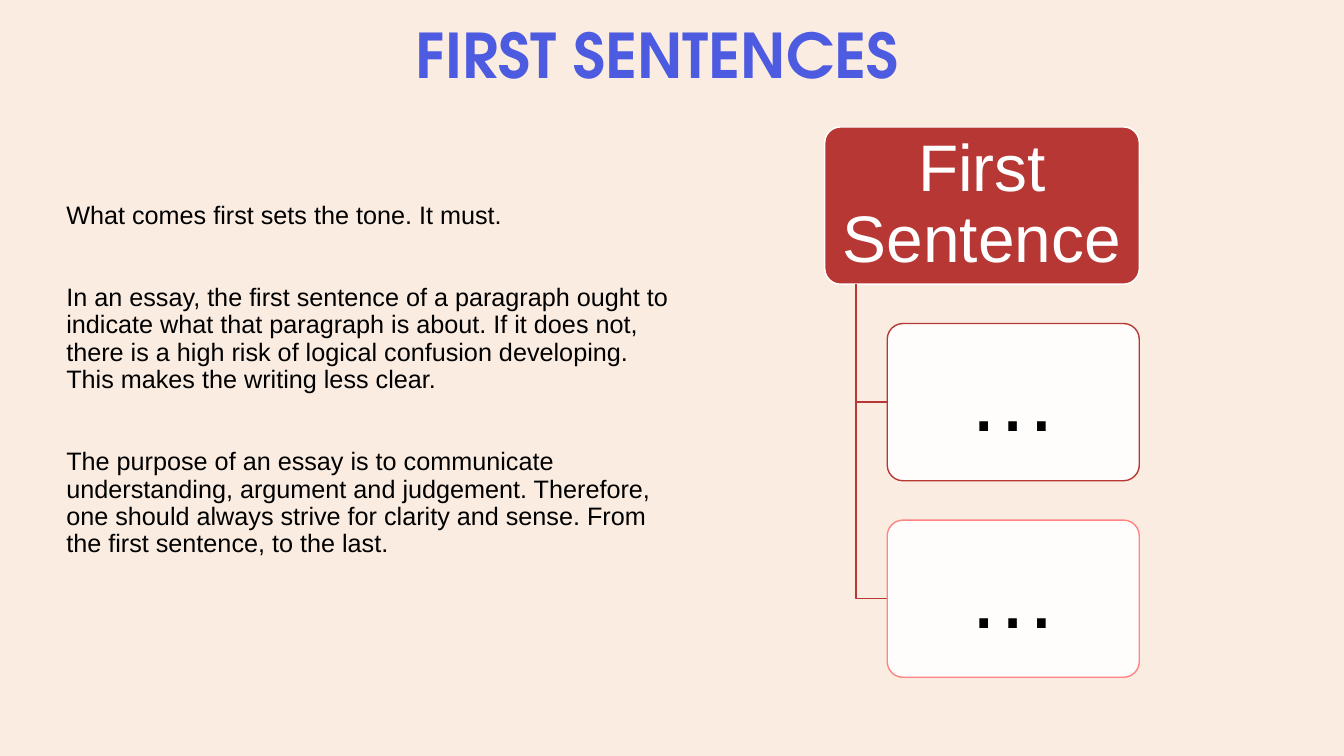
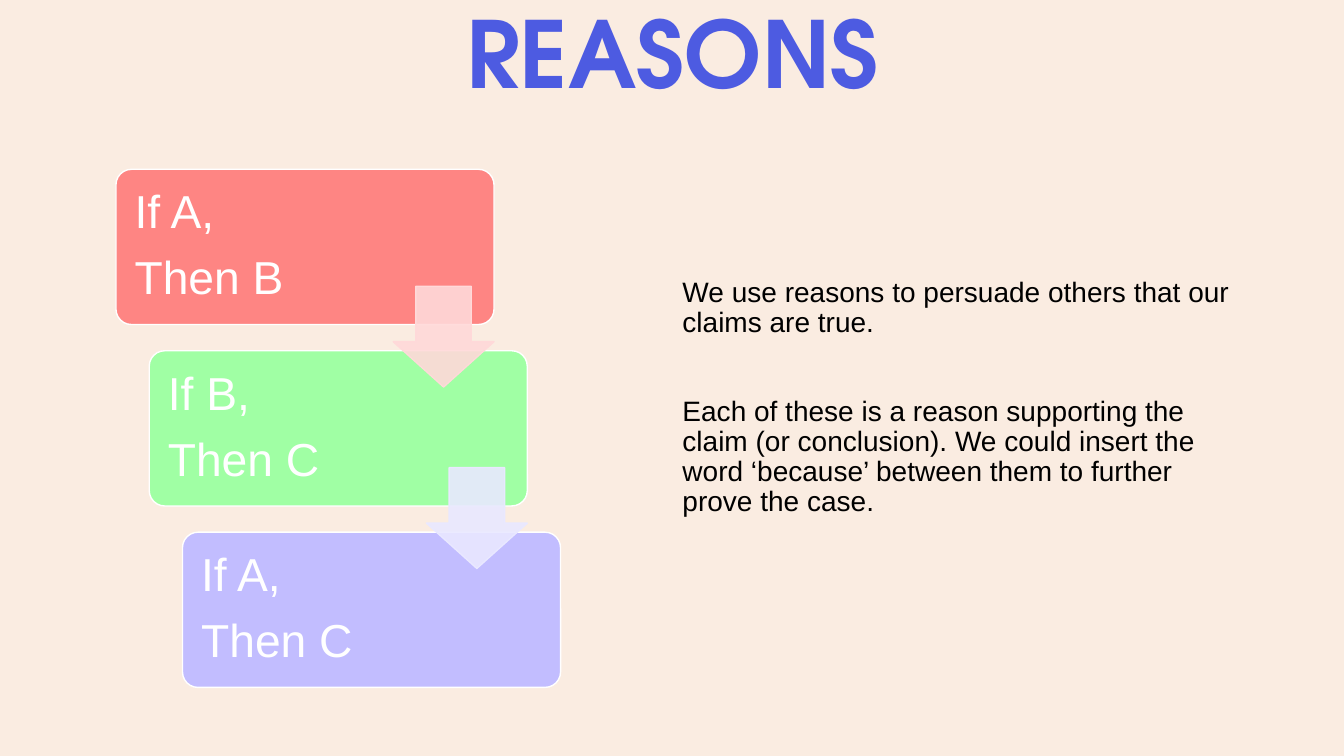
from dataclasses import dataclass

from lxml import etree
from pptx import Presentation
from pptx.dml.color import RGBColor
from pptx.enum.shapes import MSO_SHAPE
from pptx.enum.text import MSO_ANCHOR, PP_ALIGN
from pptx.oxml.ns import qn
from pptx.shapes.autoshape import Shape
from pptx.slide import Slide
from pptx.util import Inches, Pt

ROUNDED = MSO_SHAPE.ROUNDED_RECTANGLE
DOWN_ARROW = MSO_SHAPE.DOWN_ARROW
LEFT, CENTER = PP_ALIGN.LEFT, PP_ALIGN.CENTER
TOP, MIDDLE = MSO_ANCHOR.TOP, MSO_ANCHOR.MIDDLE

COLORS = {
    "background": "FAECE1",
    "title": "4D5BE1",
    "text": "000000",
    "white": "FFFFFF",
    "red": "B73734",
    "coral": "FE8583",
    "green": "A0FFA4",
    "lilac": "C2BDFF",
    "pale coral": "FFD9D9",
    "pale lilac": "E9E8FF",
}
TITLE_FONT = "TeX Gyre Adventor"
BODY_FONT = "Arial"
LINE_SPACING = 0.9
TRANSLUCENT = 90


@dataclass(frozen=True)
class Box:
    left: float
    top: float
    width: float
    height: float


@dataclass(frozen=True)
class TextStyle:
    size: float
    color: str = "text"
    font: str = BODY_FONT
    bold: bool = False
    align: PP_ALIGN = LEFT
    anchor: MSO_ANCHOR = MIDDLE
    gap: float = 0
    inset: float = 0.1


@dataclass(frozen=True)
class Card:
    box: Box
    fill: str
    line: str
    lines: tuple[str, ...]
    style: TextStyle
    opacity: int = 100


def rgb(name: str) -> RGBColor:
    return RGBColor.from_string(COLORS[name])


def write_text(shape: Shape, lines: tuple[str, ...], style: TextStyle) -> None:
    frame = shape.text_frame
    frame.word_wrap = True
    frame.vertical_anchor = style.anchor
    frame.margin_left = frame.margin_right = Inches(style.inset)
    frame.margin_top = frame.margin_bottom = Inches(0.05)
    for index, line in enumerate(lines):
        paragraph = frame.add_paragraph() if index else frame.paragraphs[0]
        paragraph.text = line
        paragraph.alignment = style.align
        paragraph.line_spacing = LINE_SPACING
        paragraph.space_before = Pt(style.gap if index else 0)
        font = paragraph.font
        font.name = style.font
        font.size = Pt(style.size)
        font.bold = style.bold
        font.color.rgb = rgb(style.color)


def add_text(slide: Slide, box: Box, lines: tuple[str, ...], style: TextStyle) -> None:
    shape = slide.shapes.add_textbox(
        Inches(box.left), Inches(box.top), Inches(box.width), Inches(box.height)
    )
    write_text(shape, lines, style)


def add_title(slide: Slide, text: str, left: float, size: float) -> None:
    style = TextStyle(size, "title", TITLE_FONT, bold=True, align=CENTER)
    add_text(slide, Box(left, 0, 11.5, 1.16), (text,), style)


def add_body(slide: Slide, box: Box, lines: tuple[str, ...], size: float) -> None:
    """Write paragraphs that stand a little over two lines apart."""
    add_text(slide, box, lines, TextStyle(size, anchor=TOP, gap=20 + 1.08 * size))


def add_preset(
    slide: Slide, kind: MSO_SHAPE, box: Box, fill: str, line: str, opacity: int = 100
) -> Shape:
    shape = slide.shapes.add_shape(
        kind, Inches(box.left), Inches(box.top), Inches(box.width), Inches(box.height)
    )
    shape.shadow.inherit = False
    shape.fill.solid()
    shape.fill.fore_color.rgb = rgb(fill)
    shape.line.color.rgb = rgb(line)
    shape.line.width = Pt(1)
    if opacity < 100:
        color = shape.element.spPr.find(qn("a:solidFill"))[0]
        etree.SubElement(color, qn("a:alpha")).set("val", str(opacity * 1000))
    return shape


def add_card(slide: Slide, card: Card) -> None:
    shape = add_preset(slide, ROUNDED, card.box, card.fill, card.line, card.opacity)
    shape.adjustments[0] = 0.1
    write_text(shape, card.lines, card.style)


def add_branch(slide: Slide, parent: Box, child: Box) -> None:
    """Draw an elbow from under the parent to the middle of the child's left side."""
    trunk = Inches(parent.left + 0.31)
    level = Inches(child.top + child.height / 2)
    builder = slide.shapes.build_freeform(trunk, Inches(parent.top + parent.height))
    builder.add_line_segments([(trunk, level), (Inches(child.left), level)], close=False)
    branch = builder.convert_to_shape()
    branch.shadow.inherit = False
    branch.fill.background()
    branch.line.color.rgb = rgb("red")
    branch.line.width = Pt(1)


def add_down_arrow(slide: Slide, card: Box, color: str) -> None:
    """Draw an arrow from the lower right corner of a card to the next one."""
    box = Box(card.left + card.width - 1, card.top + 1.16, 1, 1)
    arrow = add_preset(slide, DOWN_ARROW, box, color, color, TRANSLUCENT)
    arrow.adjustments[0] = 0.55
    arrow.adjustments[1] = 0.45


def build_first_sentences(slide: Slide) -> None:
    add_title(slide, "FIRST SENTENCES", left=0.77, size=44)
    add_body(
        slide,
        Box(0.56, 1.96, 6.3, 4.76),
        (
            "What comes first sets the tone. It must.",
            "In an essay, the first sentence of a paragraph ought to indicate what "
            "that paragraph is about. If it does not, there is a high risk of logical "
            "confusion developing. This makes the writing less clear.",
            "The purpose of an essay is to communicate understanding, argument and "
            "judgement. Therefore, one should always strive for clarity and sense. "
            "From the first sentence, to the last.",
        ),
        size=18,
    )
    parent = Box(8.18, 1.26, 3.12, 1.56)
    heading_style = TextStyle(47, "white", align=CENTER, inset=0.08)
    add_card(slide, Card(parent, "red", "white", ("First Sentence",), heading_style))
    child_style = TextStyle(65, align=CENTER)
    for row, outline in enumerate(("red", "coral"), start=1):
        child = Box(8.8, parent.top + row * 1.95, 2.5, parent.height)
        add_branch(slide, parent, child)
        add_card(slide, Card(child, "white", outline, ("…",), child_style, TRANSLUCENT))


def build_reasons(slide: Slide) -> None:
    add_title(slide, "REASONS", left=0.92, size=66)
    add_body(
        slide,
        Box(6.67, 2.71, 5.75, 3.07),
        (
            "We use reasons to persuade others that our claims are true.",
            "Each of these is a reason supporting the claim (or conclusion). We could "
            "insert the word ‘because’ between them to further prove the case.",
        ),
        size=20,
    )
    steps = (
        ("coral", ("If A,", "Then B")),
        ("green", ("If B,", "Then C")),
        ("lilac", ("If A,", "Then C")),
    )
    step_style = TextStyle(33, "white", gap=11.5, inset=0.14)
    boxes = [Box(1.15 + 0.33 * i, 1.68 + 1.8 * i, 3.75, 1.54) for i in range(len(steps))]
    for box, (fill, lines) in zip(boxes, steps):
        add_card(slide, Card(box, fill, "white", lines, step_style))
    for box, color in zip(boxes, ("pale coral", "pale lilac")):
        add_down_arrow(slide, box, color)


def main() -> None:
    presentation = Presentation()
    presentation.slide_width = Inches(13.33)
    presentation.slide_height = Inches(7.5)
    background = presentation.slide_master.background.fill
    background.solid()
    background.fore_color.rgb = rgb("background")
    blank = presentation.slide_layouts[6]
    for build in (build_first_sentences, build_reasons):
        build(presentation.slides.add_slide(blank))
    presentation.save("out.pptx")


if __name__ == "__main__":
    main()
